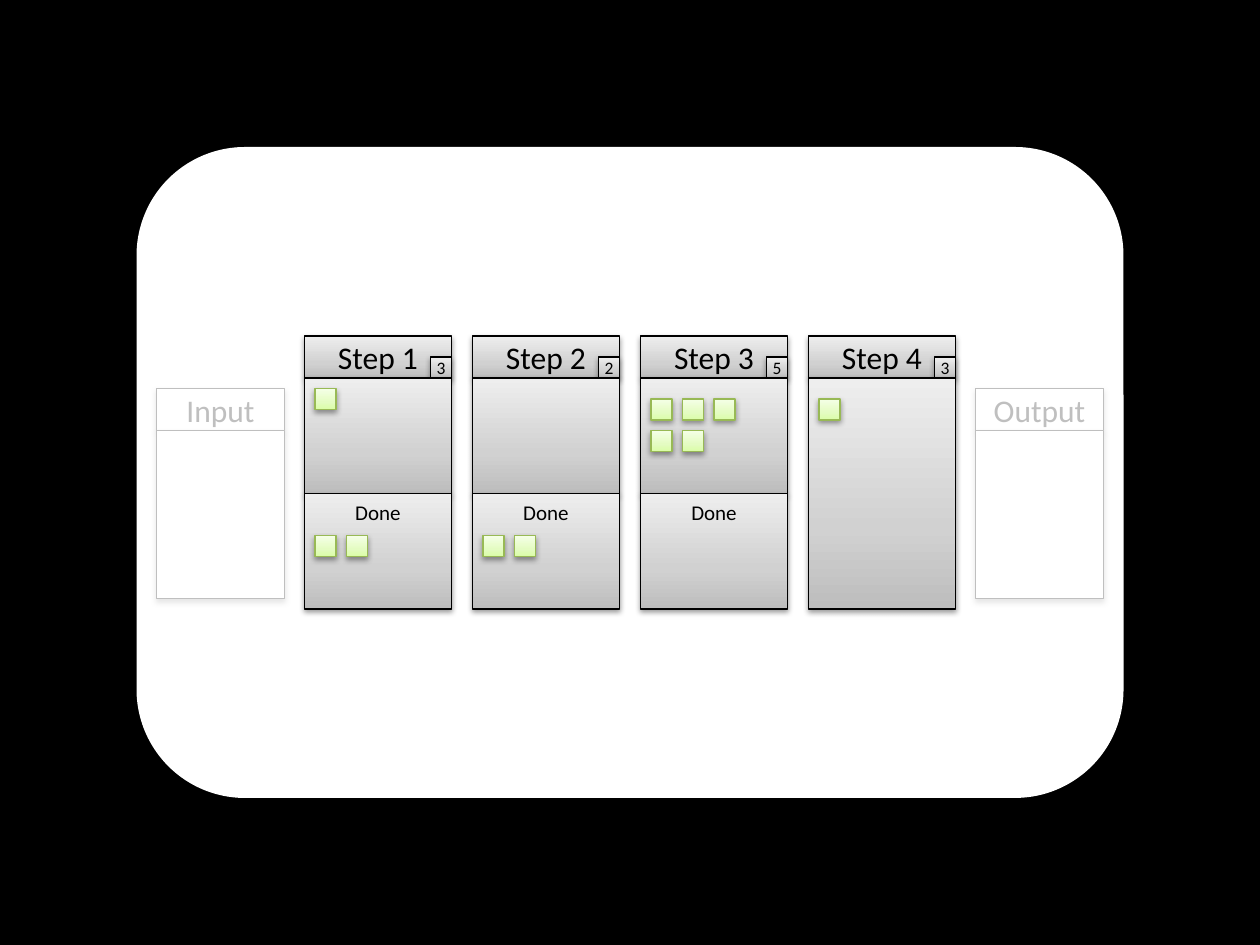
from copy import deepcopy

from lxml.etree import SubElement
from pptx import Presentation
from pptx.dml.color import RGBColor
from pptx.enum.shapes import MSO_SHAPE
from pptx.enum.text import MSO_ANCHOR, PP_ALIGN
from pptx.oxml.ns import qn
from pptx.util import Emu, Pt

PX = 9525
COLORS = {"black": "000000", "white": "FFFFFF", "card_line": "98B955"}
GRADIENTS = {
    "grey": ("BDBDBD", "D1D1D1", "EEEEEE"),
    "green": ("DAFDA7", "E4FCC2", "F5FFE7"),
}
STOPS = (0, 0.35, 1)
STEP_LEFT, STEP_TOP, STEP_WIDTH, STEP_PITCH = 232, 256, 112, 128
HEADER, HALF, SMALL, CARD_PITCH, CARD_INSET = 32, 88, 16, 24, 8
STEPS = [
    ("Step 1", "3", True, [(296, 1), (408, 2)]),
    ("Step 2", "2", True, [(408, 2)]),
    ("Step 3", "5", True, [(304, 3), (328, 2)]),
    ("Step 4", "3", False, [(304, 1)]),
]
QUEUES = [("Input", 112), ("Output", 736)]


def rgb(name):
    """Return the named colour."""
    return RGBColor.from_string(COLORS[name])


def set_gradient(shape, name):
    """Fill a shape with a three-stop gradient rising from its bottom edge."""
    shape.fill.gradient()
    shape.fill.gradient_angle = 90
    stop_list = shape.element.spPr.find(".//" + qn("a:gsLst"))
    stop_list.append(deepcopy(stop_list[-1]))
    for stop, position, color in zip(shape.fill.gradient_stops, STOPS, GRADIENTS[name]):
        stop.position = position
        stop.color.rgb = RGBColor.from_string(color)


def set_alpha(color_element, percent):
    """Set the opacity of a colour element."""
    SubElement(color_element, qn("a:alpha"), val=str(percent * 1000))


def add_shadow(shape):
    """Cast a soft shadow straight down."""
    effects = shape.element.spPr.find(qn("a:effectLst"))
    shadow = SubElement(effects, qn("a:outerShdw"), blurRad="40000", dist="20000",
                        dir="5400000", rotWithShape="0")
    set_alpha(SubElement(shadow, qn("a:srgbClr"), val=COLORS["black"]), 38)


def add_block(shapes, box, fill, line=None, kind=MSO_SHAPE.RECTANGLE):
    """Add a filled shape; an outlined one also casts a shadow."""
    shape = shapes.add_shape(kind, *(Emu(value * PX) for value in box))
    shape.shadow.inherit = False
    if fill in GRADIENTS:
        set_gradient(shape, fill)
    else:
        shape.fill.solid()
        shape.fill.fore_color.rgb = rgb(fill)
    if line:
        shape.line.color.rgb = rgb(line)
        shape.line.width = Pt(0.75)
        add_shadow(shape)
    else:
        shape.line.fill.background()
    return shape


def set_label(shape, text, size, **frame_format):
    """Write a centred label in a shape."""
    frame = shape.text_frame
    settings = {"vertical_anchor": MSO_ANCHOR.MIDDLE, **frame_format}
    for name, value in settings.items():
        setattr(frame, name, value)
    paragraph = frame.paragraphs[0]
    paragraph.text = text
    paragraph.alignment = PP_ALIGN.CENTER
    for name, value in {"name": "Calibri", "size": Pt(size)}.items():
        setattr(paragraph.font, name, value)
    paragraph.font.color.rgb = rgb("black")


def add_step(slide, left, name, limit, has_done):
    """Add a step column with its work limit and optional done area."""
    shapes = slide.shapes.add_group_shape().shapes
    body_top = STEP_TOP + HEADER
    header = add_block(shapes, (left, STEP_TOP, STEP_WIDTH, HEADER), "grey", "black")
    set_label(header, name, 18)
    limit_box = (left + STEP_WIDTH - SMALL, body_top - SMALL, SMALL, SMALL)
    set_label(add_block(shapes, limit_box, "grey", "black"), limit, 10,
              margin_left=0, margin_right=0, margin_top=0, margin_bottom=0)
    body_height = HALF if has_done else 2 * HALF
    add_block(shapes, (left, body_top, STEP_WIDTH, body_height), "grey", "black")
    if has_done:
        done_box = (left, body_top + HALF, STEP_WIDTH, HALF)
        set_label(add_block(shapes, done_box, "grey", "black"), "Done", 12,
                  vertical_anchor=MSO_ANCHOR.TOP)


def add_queue(slide, name, left):
    """Add a queue column faded by a translucent veil."""
    shapes = slide.shapes.add_group_shape().shapes
    header = add_block(shapes, (left + 7, 296, 98, HEADER), "white", "black")
    set_label(header, name, 18)
    add_block(shapes, (left + 7, 296 + HEADER, 98, 128), "white", "black")
    veil = add_block(shapes, (left, 288, STEP_WIDTH, 2 * HALF), "white")
    set_alpha(veil.element.spPr.find(".//" + qn("a:srgbClr")), 75)


def add_cards(slide, left, rows):
    """Add the rows of work cards in a step."""
    shapes = slide.shapes.add_group_shape().shapes
    for top, count in rows:
        for index in range(count):
            card_left = left + CARD_INSET + index * CARD_PITCH
            add_block(shapes, (card_left, top, SMALL, SMALL), "green", "card_line")


def main():
    """Build the board slide."""
    presentation = Presentation()
    presentation.slide_width = Emu(960 * PX)
    presentation.slide_height = Emu(720 * PX)
    slide = presentation.slides.add_slide(presentation.slide_layouts[6])
    slide.background.fill.solid()
    slide.background.fill.fore_color.rgb = rgb("black")
    add_block(slide.shapes, (104, 112, 752, 496), "white", kind=MSO_SHAPE.ROUNDED_RECTANGLE)
    lefts = [STEP_LEFT + index * STEP_PITCH for index in range(len(STEPS))]
    for left, (name, limit, has_done, _) in zip(lefts, STEPS):
        add_step(slide, left, name, limit, has_done)
    for name, left in QUEUES:
        add_queue(slide, name, left)
    for left, (*_, rows) in zip(lefts, STEPS):
        add_cards(slide, left, rows)
    presentation.save("out.pptx")


if __name__ == "__main__":
    main()
